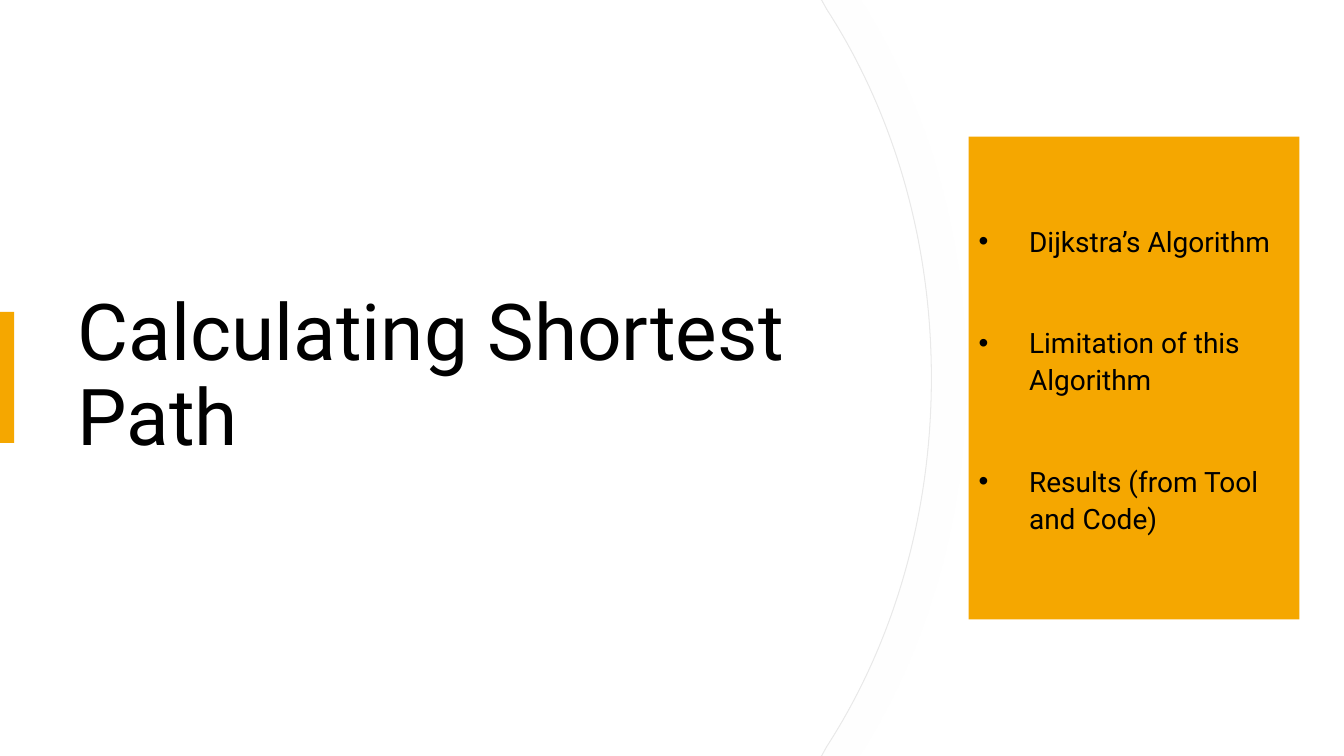
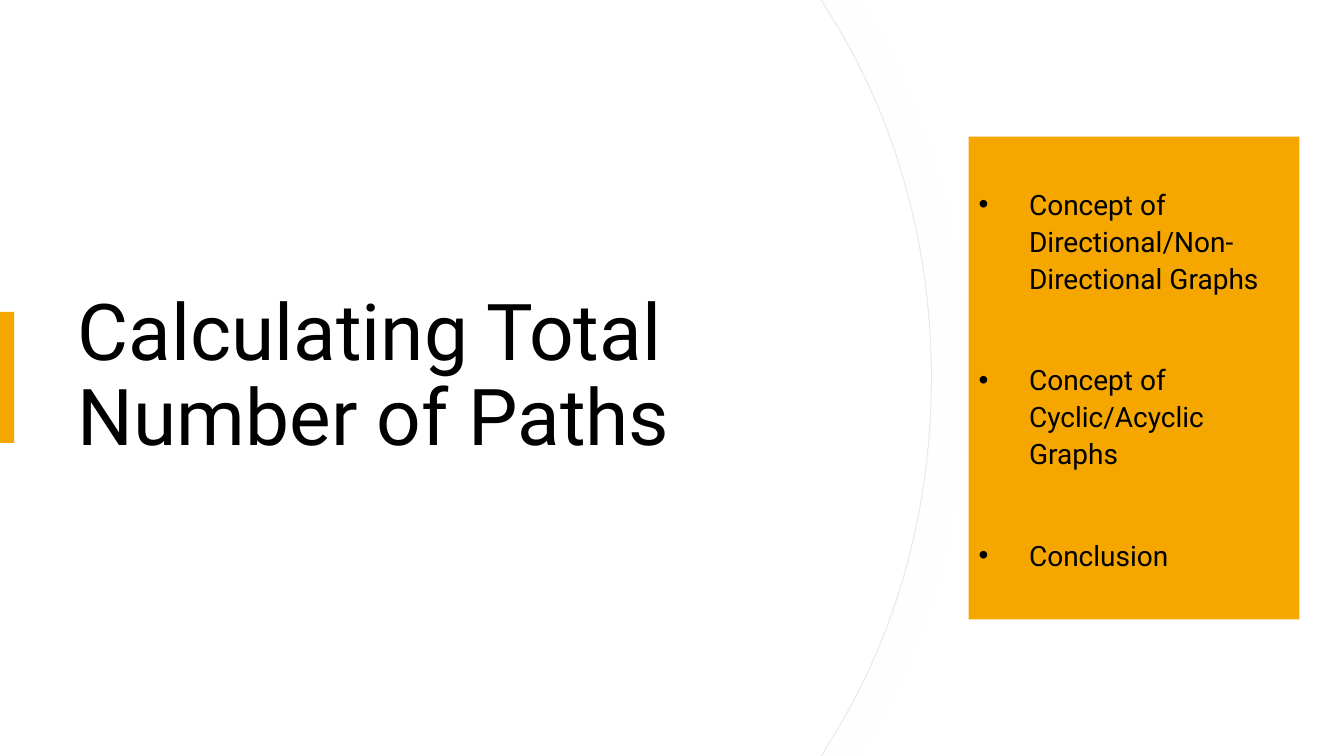
from dataclasses import dataclass

from lxml import etree
from pptx import Presentation
from pptx.dml.color import RGBColor
from pptx.enum.shapes import MSO_SHAPE
from pptx.enum.text import MSO_ANCHOR, MSO_AUTO_SIZE, PP_ALIGN
from pptx.oxml.ns import qn
from pptx.shapes.autoshape import Shape
from pptx.slide import Slide
from pptx.text.text import TextFrame
from pptx.util import Inches, Pt

RECTANGLE = MSO_SHAPE.RECTANGLE
MIDDLE = MSO_ANCHOR.MIDDLE
LEFT = PP_ALIGN.LEFT
NO_AUTOFIT = MSO_AUTO_SIZE.NONE

WHITE = RGBColor(0xFF, 0xFF, 0xFF)
BLACK = RGBColor(0x00, 0x00, 0x00)
AMBER = RGBColor(0xF5, 0xA7, 0x00)
EDGE_GREY = RGBColor(0xE9, 0xE9, 0xE9)
SHADOW_GREY = RGBColor(0xD9, 0xD9, 0xD9)
FONT = "Roboto"

# Grid: 100 columns by 100 rows on a 16:9 slide
SLIDE_HEIGHT = Inches(7.5)
SLIDE_WIDTH = SLIDE_HEIGHT * 16 // 9
COLUMN, ROW = SLIDE_WIDTH / 100, SLIDE_HEIGHT / 100


@dataclass(frozen=True)
class Area:
    """A region in grid columns and rows."""
    left: float
    top: float
    width: float
    height: float

    def place(self) -> tuple[int, int, int, int]:
        return (round(self.left * COLUMN), round(self.top * ROW),
                round(self.width * COLUMN), round(self.height * ROW))


@dataclass(frozen=True)
class Section:
    title: str
    topics: tuple[str, ...]


TITLE_AREA = Area(5.03, 18.06, 57.45, 63.87)
TOPICS_AREA = Area(72.08, 18.06, 24.6, 63.87)
ACCENT_AREA = Area(0, 41.25, 1.05, 17.33)

# Upper half of the panel edge: corner, curve start, two handles, curve end
UPPER_EDGE = ((61.13, 0), (61.5, 1.2), (66.45, 14.8), (69.3, 31.73), (69.3, 50))
CURVE_STARTS = (2, 5)
FACE_INSET = 0.08

SECTIONS = (
    Section("Calculating Shortest Path",
            ("Dijkstra’s Algorithm", "Limitation of this Algorithm",
             "Results (from Tool and Code)")),
    Section("Calculating Total Number of Paths",
            ("Concept of Directional/Non-Directional Graphs",
             "Concept of Cyclic/Acyclic Graphs", "Conclusion")),
)


def panel_outline(inset: float) -> list[tuple[int, int]]:
    lower_edge = [(column, 100 - row) for column, row in reversed(UPPER_EDGE[:-1])]
    edge = [(column - inset, row) for column, row in (*UPPER_EDGE, *lower_edge)]
    return [(round(column * COLUMN), round(row * ROW)) for column, row in edge + [(0, 100)]]


def round_edge(panel: Shape) -> None:
    """Join each two handles and their end point into one cubic curve."""
    segments = list(panel.element.iter(qn("a:lnTo")))
    for start in CURVE_STARTS:
        curve = etree.Element(qn("a:cubicBezTo"))
        segments[start].addprevious(curve)
        for segment in segments[start:start + 3]:
            curve.append(segment[0])
            segment.getparent().remove(segment)


def paint(shape: Shape, color: RGBColor) -> None:
    shape.shadow.inherit = False
    shape.fill.solid()
    shape.fill.fore_color.rgb = color
    shape.line.fill.background()


def add_soft_shadow(shape: Shape) -> None:
    effects = shape.element.spPr.find(qn("a:effectLst"))
    shadow = etree.SubElement(effects, qn("a:outerShdw"), blurRad=str(Pt(30)),
                              dist=str(Pt(4)), dir="0", algn="l", rotWithShape="0")
    color = etree.SubElement(shadow, qn("a:srgbClr"), val=str(SHADOW_GREY))
    etree.SubElement(color, qn("a:alpha"), val="3000")


def add_panel(page: Slide, inset: float) -> Shape:
    builder = page.shapes.build_freeform(0, 0)
    builder.add_line_segments(panel_outline(inset), close=True)
    panel = builder.convert_to_shape()
    round_edge(panel)
    paint(panel, WHITE)
    page.shapes.title.element.addprevious(panel.element)
    return panel


def add_block(page: Slide, area: Area) -> Shape:
    block = page.shapes.add_shape(RECTANGLE, *area.place())
    paint(block, AMBER)
    return block


def format_text(frame: TextFrame, size: int, line_spacing: float) -> None:
    frame.word_wrap = True
    frame.auto_size = NO_AUTOFIT
    frame.vertical_anchor = MIDDLE
    for para in frame.paragraphs:
        para.alignment = LEFT
        para.line_spacing = line_spacing
        for span in para.runs:
            span.font.name = FONT
            span.font.size = Pt(size)
            span.font.color.rgb = BLACK


def add_bullets(frame: TextFrame) -> None:
    for number, para in enumerate(frame.paragraphs):
        para.space_before = Pt(46.2 if number else 10)
        settings = para._p.get_or_add_pPr()
        settings.set("marL", str(Inches(0.5)))
        settings.set("indent", str(Inches(-0.5)))
        etree.SubElement(settings, qn("a:buFont"), typeface="Arial")
        etree.SubElement(settings, qn("a:buChar"), char="•")


def add_section(deck: Presentation, section: Section) -> None:
    page = deck.slides.add_slide(deck.slide_layouts.get_by_name("Title Only"))

    # Curved panel: shaded edge under a plain face
    edge = add_panel(page, 0)
    edge.line.color.rgb = EDGE_GREY
    edge.line.width = Pt(0.75)
    add_soft_shadow(edge)
    add_panel(page, FACE_INSET)

    # Title
    title = page.shapes.title
    title.left, title.top, title.width, title.height = TITLE_AREA.place()
    title.text_frame.text = section.title
    format_text(title.text_frame, 56, 0.9)

    # Topics and accent bar
    topics = add_block(page, TOPICS_AREA).text_frame
    topics.text = "\n".join(section.topics)
    format_text(topics, 20, 1.1)
    add_bullets(topics)
    add_block(page, ACCENT_AREA)


deck = Presentation()
deck.slide_width, deck.slide_height = SLIDE_WIDTH, SLIDE_HEIGHT
for section in SECTIONS:
    add_section(deck, section)
deck.save("out.pptx")
